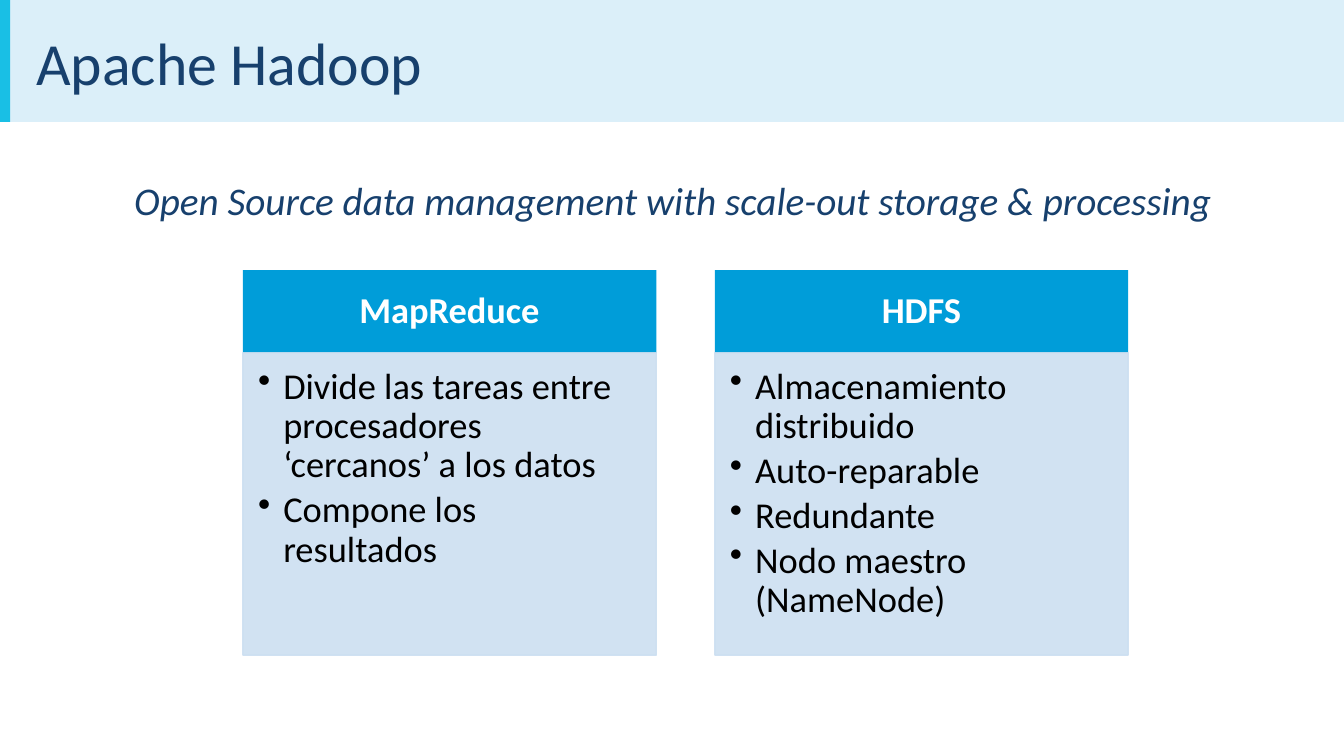
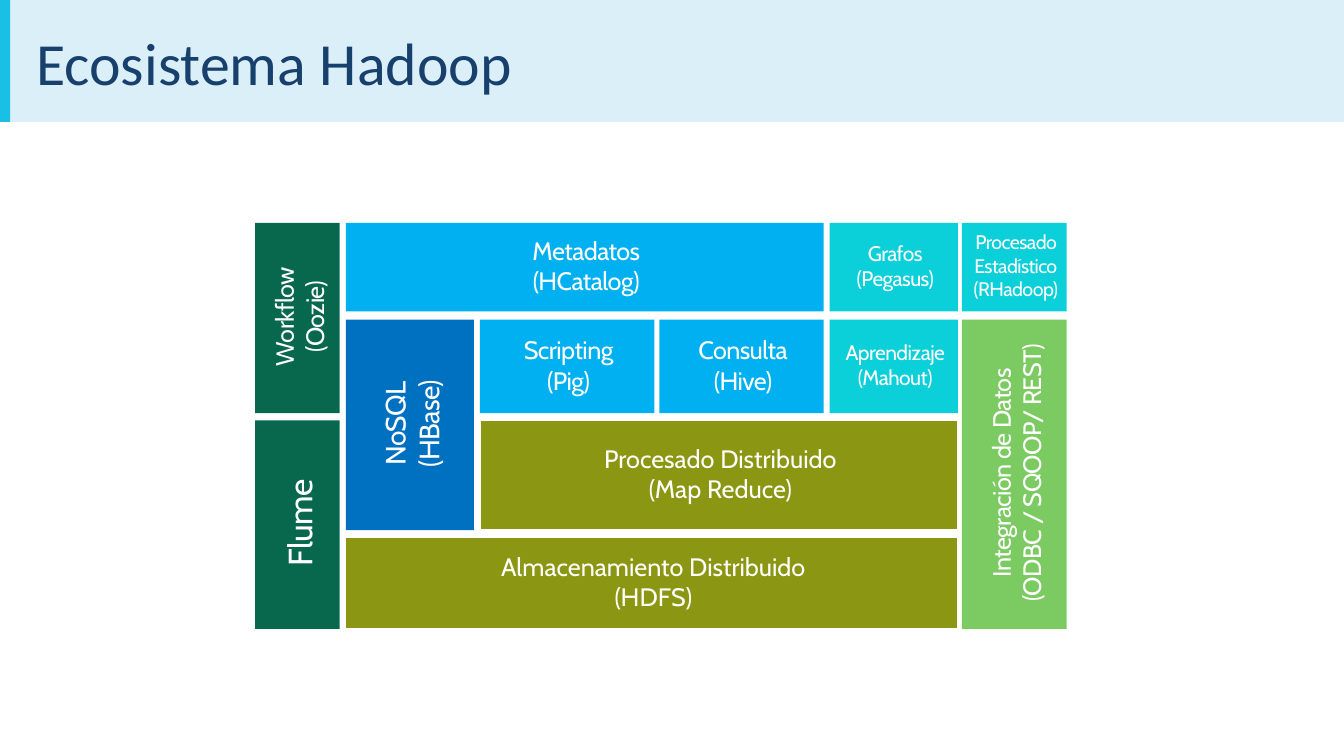
from lxml import etree
from pptx import Presentation
from pptx.dml.color import RGBColor
from pptx.enum import shapes, text
from pptx.oxml import ns
from pptx.util import Inches, Pt

# Shared style
NAVY = RGBColor(0x17, 0x40, 0x6D)
PALE_BLUE = RGBColor(0xDB, 0xEF, 0xF9)
ACCENT = RGBColor(0x19, 0xBF, 0xE5)
HEADER_BLUE = RGBColor(0x00, 0x9D, 0xD9)
CARD_BLUE = RGBColor(0xCC, 0xDF, 0xF1)
WHITE = RGBColor(0xFF, 0xFF, 0xFF)
BLACK = RGBColor(0x00, 0x00, 0x00)
OLIVE = RGBColor(0x8B, 0x97, 0x13)
SKY = RGBColor(0x00, 0xB0, 0xF0)
BLUE = RGBColor(0x00, 0x70, 0xC0)
TURQUOISE = RGBColor(0x0B, 0xD0, 0xD9)
LIGHT_GREEN = RGBColor(0x7C, 0xCA, 0x62)
DARK_GREEN = RGBColor(0x08, 0x68, 0x4E)
MAIN_FONT = "Calibri"
BLOCK_FONT = "Cabin"
LEFT, CENTER = text.PP_ALIGN.LEFT, text.PP_ALIGN.CENTER
TOP, MIDDLE = text.MSO_ANCHOR.TOP, text.MSO_ANCHOR.MIDDLE

# Component cards: heading and points
CARDS = [
    ("MapReduce", ["Divide las tareas entre procesadores ‘cercanos’ a los datos",
                   "Compone los resultados"]),
    ("HDFS", ["Almacenamiento distribuido", "Auto-reparable", "Redundante",
              "Nodo maestro (NameNode)"]),
]

# Ecosystem grid: start and end of each column and row
COLUMNS = [(2.53, 3.37), (3.43, 4.7), (4.76, 6.49), (6.54, 8.17), (8.23, 9.5), (9.54, 10.58)]
ROWS = [(2.21, 3.09), (3.17, 4.1), (4.17, 5.26), (5.33, 6.24)]

# Lines, first and last column, first and last row, colour, size, vertical
BLOCKS = [
    (["Almacenamiento Distribuido", "(HDFS)"], (1, 4), (3, 3), OLIVE, 18, False),
    (["Procesado Distribuido", "(Map Reduce)"], (2, 4), (2, 2), OLIVE, 18, False),
    (["Scripting", "(Pig)"], (2, 2), (1, 1), SKY, 18, False),
    (["Consulta", "(Hive)"], (3, 3), (1, 1), SKY, 18, False),
    (["Metadatos", "(HCatalog)"], (1, 3), (0, 0), SKY, 18, False),
    (["NoSQL", "(HBase)"], (1, 1), (1, 2), BLUE, 20, True),
    (["Grafos", "(Pegasus)"], (4, 4), (0, 0), TURQUOISE, 15, False),
    (["Aprendizaje", "(Mahout)"], (4, 4), (1, 1), TURQUOISE, 15, False),
    (["Procesado Estadístico", "(RHadoop)"], (5, 5), (0, 0), TURQUOISE, 14, False),
    (["Integración de Datos", "(ODBC / SQOOP/ REST)"], (5, 5), (1, 3), LIGHT_GREEN, 18, True),
    (["Workflow", "(Oozie)"], (0, 0), (0, 1), DARK_GREEN, 18, True),
    (["Flume"], (0, 0), (2, 3), DARK_GREEN, 24, True),
]


def place(shape, left, top, width, height):
    shape.left, shape.top = Inches(left), Inches(top)
    shape.width, shape.height = Inches(width), Inches(height)


def add_rect(slide, left, top, width, height, fill, line=None):
    rect = slide.shapes.add_shape(shapes.MSO_SHAPE.RECTANGLE, Inches(left), Inches(top),
                                  Inches(width), Inches(height))
    rect.shadow.inherit = False
    rect.fill.solid()
    rect.fill.fore_color.rgb = fill
    if line is None:
        rect.line.fill.background()
    else:
        rect.line.color.rgb = line
        rect.line.width = Pt(1)
    return rect


def set_frame(frame, anchor, insets):
    frame.word_wrap = True
    frame.auto_size = text.MSO_AUTO_SIZE.NONE
    frame.vertical_anchor = anchor
    (frame.margin_left, frame.margin_top,
     frame.margin_right, frame.margin_bottom) = [Inches(inset) for inset in insets]


def set_bullet(paragraph, bullet, indent):
    properties = paragraph._p.get_or_add_pPr()
    properties.set("marL", str(Inches(indent)))
    properties.set("indent", str(Inches(-indent)))
    tag = "a:buChar" if bullet else "a:buNone"
    mark = etree.SubElement(properties, ns.qn(tag))
    if bullet:
        mark.set("char", bullet)


def write(frame, lines, size, color, font=MAIN_FONT, align=LEFT, spacing=0.9, after=0,
          bullet=None, bold=False, italic=False, tracking=0):
    frame.text = "\n".join(lines)
    for paragraph in frame.paragraphs:
        paragraph.alignment = align
        paragraph.line_spacing = spacing
        paragraph.space_before = Pt(0)
        paragraph.space_after = Pt(after)
        set_bullet(paragraph, bullet, 0.25 if bullet else 0)
        paragraph.font.name = font
        paragraph.font.size = Pt(size)
        paragraph.font.color.rgb = color
        paragraph.font.bold = bold
        paragraph.font.italic = italic
        if tracking:
            defaults = paragraph._p.pPr.find(ns.qn("a:defRPr"))
            defaults.set("spc", str(round(tracking * 100)))


def add_master_bands(prs, slide):
    """Draw the title bands once and move them behind the master's placeholders."""
    tree = prs.slide_master.shapes.element
    bands = [add_rect(slide, 0, 0, width, 1.21, fill)
             for width, fill in ((13.33, PALE_BLUE), (0.1, ACCENT))]
    for order, band in enumerate(bands):
        band.element.nvSpPr.cNvPr.set("id", str(100 + order))
        tree.insert(2 + order, band.element)


def add_titled_slide(prs, layout, title):
    slide = prs.slides.add_slide(prs.slide_layouts[layout])
    heading = slide.shapes.title
    place(heading, 0.26, 0, 12.6, 1.31)
    set_frame(heading.text_frame, MIDDLE, (0.1, 0.05, 0.1, 0.05))
    write(heading.text_frame, [title], 42.7, NAVY)
    return slide


def set_opacity(color_format_parent, percent):
    for color in color_format_parent.iter(ns.qn("a:srgbClr")):
        etree.SubElement(color, ns.qn("a:alpha")).set("val", str(percent * 1000))


def add_card(slide, left, heading, points):
    width, top, header_height = 4.1, 2.68, 0.82
    header = add_rect(slide, left, top, width, header_height, HEADER_BLUE)
    set_frame(header.text_frame, MIDDLE, (0.2, 0.12, 0.2, 0.12))
    write(header.text_frame, [heading], 26, WHITE, align=CENTER, bold=True)

    panel = add_rect(slide, left, top + header_height, width, 3, CARD_BLUE, CARD_BLUE)
    set_opacity(panel.element.spPr, 90)
    set_frame(panel.text_frame, TOP, (0.15, 0.15, 0.2, 0.23))
    write(panel.text_frame, points, 26, BLACK, after=4, bullet="•")


def add_block(slide, lines, columns, rows, fill, size, vertical):
    left, right = COLUMNS[columns[0]][0], COLUMNS[columns[1]][1]
    top, bottom = ROWS[rows[0]][0], ROWS[rows[1]][1]
    outlined = fill == OLIVE
    block = add_rect(slide, left, top, right - left, bottom - top, fill,
                     WHITE if outlined else None)
    frame = block.text_frame
    set_frame(frame, MIDDLE, (0.07, 0.04, 0.04, 0.07))
    if vertical:
        frame._txBody.bodyPr.set("vert", "vert270")
    write(frame, lines, size, WHITE, BLOCK_FONT, CENTER, spacing=1,
          tracking=0 if outlined else -0.4)


def main():
    prs = Presentation()
    prs.slide_width, prs.slide_height = Inches(13.33), Inches(7.5)

    # Components
    components = add_titled_slide(prs, 1, "Apache Hadoop")
    add_master_bands(prs, components)
    tagline = components.placeholders[1]
    place(tagline, 0.37, 1.75, 12.6, 4.95)
    set_frame(tagline.text_frame, TOP, (0.1, 0.05, 0.1, 0.05))
    write(tagline.text_frame,
          ["Open Source data management with scale-out storage & processing"],
          28, NAVY, align=CENTER, italic=True)
    for index, (heading, points) in enumerate(CARDS):
        add_card(components, 2.41 + index * 4.68, heading, points)

    # Ecosystem
    ecosystem = add_titled_slide(prs, 5, "Ecosistema Hadoop")
    for block in BLOCKS:
        add_block(ecosystem, *block)

    prs.save("out.pptx")


if __name__ == "__main__":
    main()
